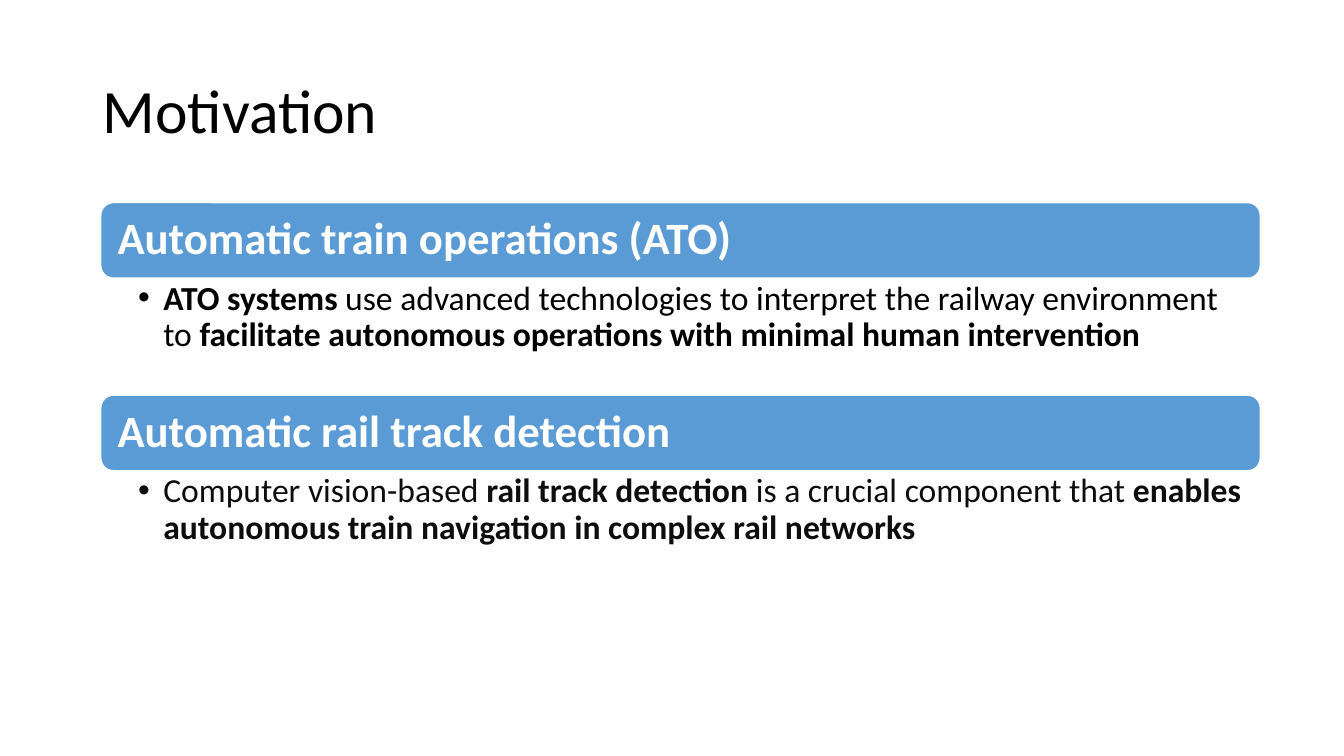
"""Build the Motivation slide: two headed sections with one bullet each."""
from lxml import etree
from pptx import Presentation
from pptx.dml.color import RGBColor
from pptx.enum.shapes import MSO_SHAPE
from pptx.enum.text import MSO_ANCHOR, MSO_AUTO_SIZE, PP_ALIGN
from pptx.oxml.ns import qn
from pptx.util import Inches, Pt

BLACK = RGBColor(0x00, 0x00, 0x00)
NEAR_BLACK = RGBColor(0x0D, 0x0D, 0x0D)
WHITE = RGBColor(0xFF, 0xFF, 0xFF)
BLUE = RGBColor(0x5B, 0x9B, 0xD5)
ROUNDED = MSO_SHAPE.ROUNDED_RECTANGLE
TOP, MIDDLE = MSO_ANCHOR.TOP, MSO_ANCHOR.MIDDLE
LEFT_ALIGNED = PP_ALIGN.LEFT
NO_AUTOFIT = MSO_AUTO_SIZE.NONE

TITLE = "Motivation"
SECTIONS = [
    ("Automatic train operations (ATO)", BLACK, [
        ("ATO systems ", True),
        ("use advanced technologies to interpret the railway environment to ", False),
        ("facilitate autonomous operations with minimal human intervention", True),
    ]),
    ("Automatic rail track detection", NEAR_BLACK, [
        ("Computer vision-based ", False),
        ("rail track detection ", True),
        ("is a crucial component that ", False),
        ("enables autonomous train navigation in complex rail networks", True),
    ]),
]

SLIDE_W, SLIDE_H = 13.33, 7.5
TITLE_BOX = (0.92, 0.4, 11.5, 1.45)
LEFT, FIRST_TOP, WIDTH = 1, 2.01, 11.5
HEADING_H, DETAIL_H = 0.75, 1.16
SECTION_STEP = HEADING_H + DETAIL_H
BULLET_INDENT = 0.25


def write(shape, runs, size, color, insets=(0.1, 0.05, 0.1, 0.05), anchor=MIDDLE, bullet=False):
    """Fill a shape with one paragraph of (text, bold) runs."""
    frame = shape.text_frame
    frame.word_wrap = True
    frame.auto_size = NO_AUTOFIT
    frame.vertical_anchor = anchor
    (frame.margin_left, frame.margin_top,
     frame.margin_right, frame.margin_bottom) = map(Inches, insets)
    paragraph = frame.paragraphs[0]
    paragraph.alignment = LEFT_ALIGNED
    paragraph.line_spacing = 0.9
    if bullet:
        paragraph.level = 1
        properties = paragraph._p.get_or_add_pPr()
        properties.set("marL", str(Inches(BULLET_INDENT)))
        properties.set("indent", str(-Inches(BULLET_INDENT)))
        etree.SubElement(properties, qn("a:buFont")).set("typeface", "Arial")
        etree.SubElement(properties, qn("a:buChar")).set("char", "•")
    for text, bold in runs:
        run = paragraph.add_run()
        run.text = text
        run.font.name = "Calibri"
        run.font.size = Pt(size)
        run.font.bold = bold
        run.font.color.rgb = color


def add_section(slide, top, heading, color, detail):
    """Add a heading bar and the bullet below it."""
    bar = slide.shapes.add_shape(
        ROUNDED, Inches(LEFT), Inches(top), Inches(WIDTH), Inches(HEADING_H))
    bar.shadow.inherit = False
    bar.fill.solid()
    bar.fill.fore_color.rgb = BLUE
    bar.line.color.rgb = WHITE
    bar.line.width = Pt(1)
    write(bar, [(heading, True)], 32, WHITE, insets=(0.13, 0.13, 0.13, 0.13))
    body = slide.shapes.add_textbox(
        Inches(LEFT), Inches(top + HEADING_H), Inches(WIDTH), Inches(DETAIL_H))
    write(body, detail, 24, color, insets=(0.37, 0.03, 0.19, 0.03), anchor=TOP, bullet=True)


def main():
    """Create and save the slide."""
    deck = Presentation()
    deck.slide_width, deck.slide_height = Inches(SLIDE_W), Inches(SLIDE_H)
    slide = deck.slides.add_slide(deck.slide_layouts[5])
    title = slide.shapes.title
    title.left, title.top, title.width, title.height = map(Inches, TITLE_BOX)
    write(title, [(TITLE, False)], 44, BLACK)
    for index, (heading, color, detail) in enumerate(SECTIONS):
        add_section(slide, FIRST_TOP + index * SECTION_STEP, heading, color, detail)
    deck.save("out.pptx")


if __name__ == "__main__":
    main()
